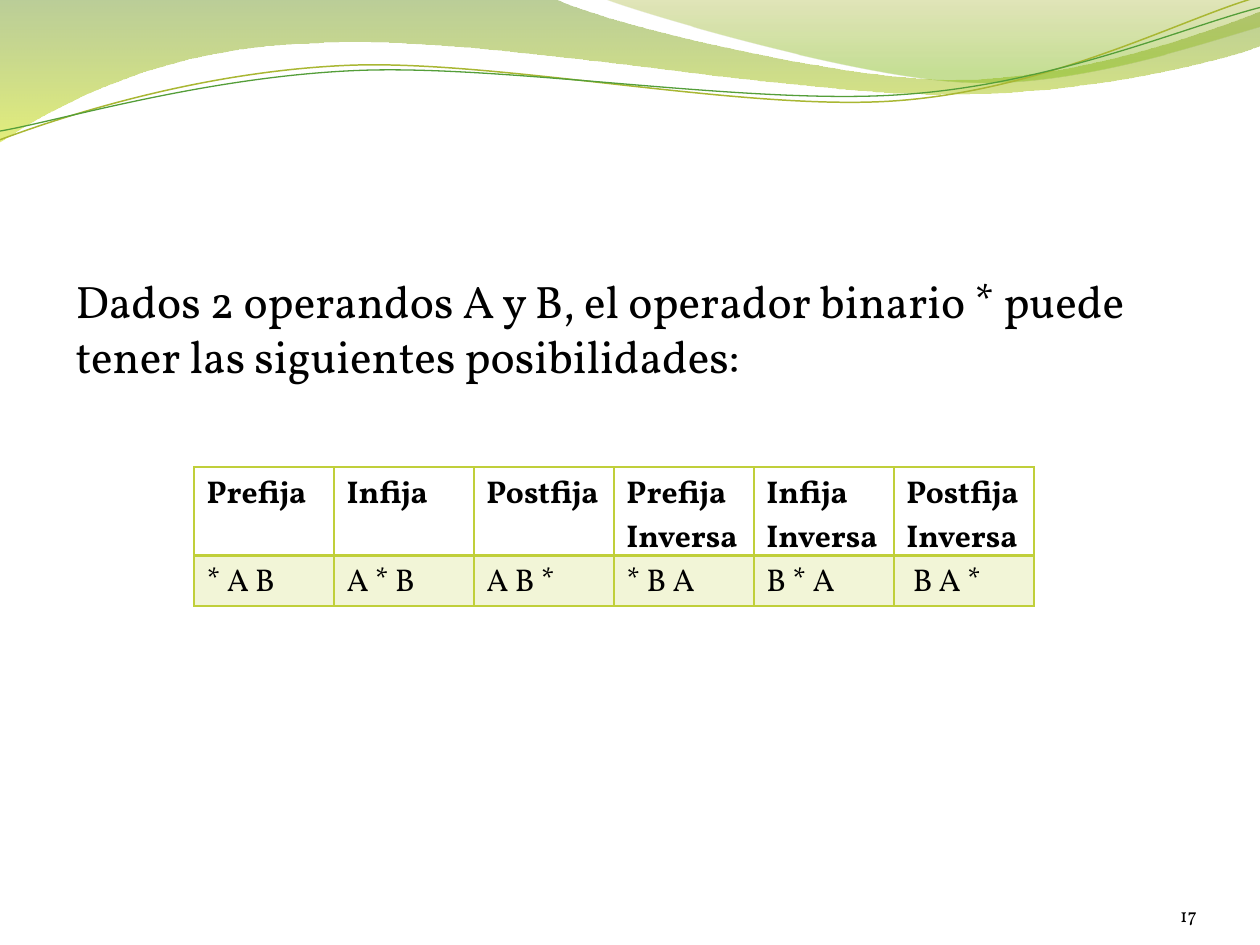
import math
from dataclasses import dataclass

from lxml import etree
from pptx import Presentation
from pptx.dml.color import RGBColor
from pptx.enum import text as t
from pptx.oxml import ns
from pptx.util import Pt


@dataclass
class Theme:
    font: str = "Vollkorn"
    ink: str = "000000"
    lime: str = "C0CF3A"
    olive: str = "A9B733"
    green: str = "549E39"
    body: float = 26
    cell: float = 18
    number: float = 11


theme = Theme()


def write(frame, text, size, bold=False, align=t.PP_ALIGN.LEFT, before=0):
    paragraph = frame.paragraphs[0]
    paragraph.alignment = align
    paragraph.space_before = Pt(before)
    run = paragraph.add_run()
    run.text = text
    run.font.name = theme.font
    run.font.size = Pt(size)
    run.font.bold = bold
    run.font.color.rgb = RGBColor.from_string(theme.ink)
    return paragraph


def set_opacity(parent, percents):
    for color, percent in zip(parent.iter(ns.qn("a:srgbClr")), percents):
        etree.SubElement(color, ns.qn("a:alpha"), val=str(percent * 1000))


prs = Presentation()
prs.slide_width, prs.slide_height = Pt(720), Pt(540)
slide = prs.slides.add_slide(prs.slide_layouts[1])
title = slide.shapes.title
title.element.getparent().remove(title.element)

# Header waves: a start point, then lines (2 numbers) and Bézier curves (6 numbers)
TILT = -2.7
waves = [
    dict(start=(0, 0), stops=[(0, "69921C", 45), (1, "CCE10F", 55)], steps=[
        (316.8, -0.7), (342, 12.2, 477.4, 45.4, 545.8, 45.4),
        (614.2, 45.4, 689.8, 18.7, 720, 6.5), (720.7, 25.9),
        (707.8, 31.7, 625.7, 54.7, 537.1, 54), (447.8, 54, 274.3, 20.2, 185, 24.5),
        (92.9, 25.9, 33.1, 59.8, -0.7, 81.4), (0, 0)]),
    dict(start=(344.9, -0.7), stops=[(0, "9BAA1A", 30), (0.8, "81BA16", 45)], steps=[
        (366.5, 7.9, 491, 44.6, 553, 46.8),
        (615.6, 49.7, 691.9, 23, 720, 15.1), (720, 0), (344.9, -0.7)]),
    dict(start=(0, 79.9), line=(theme.olive, 0.85), center=(359.3, 41.4), steps=[
        (34.6, 67, 113, 41, 198.7, 37.4), (284.4, 33.8, 426.2, 64.1, 512.6, 57.6),
        (599.8, 51.1, 675.4, 10.8, 717.8, -1.4)]),
    dict(start=(0, 74.9), line=(theme.green, 0.75), center=(359.6, 42.5), steps=[
        (33.8, 69.1, 117.4, 43.9, 203.8, 40.3), (289.4, 36.7, 429.8, 60.5, 516.2, 54),
        (601.9, 48.2, 677.5, 15.1, 720, 4.3)]),
]
for layer, wave in enumerate(waves):
    points = [wave["start"]]
    for step in wave["steps"]:
        points += zip(step[::2], step[1::2])
    if "center" in wave:
        # Level the points, since the shape itself carries the tilt
        cx, cy = wave["center"]
        cos, sin = math.cos(math.radians(-TILT)), math.sin(math.radians(-TILT))
        points = [(cx + (x - cx) * cos - (y - cy) * sin,
                   cy + (x - cx) * sin + (y - cy) * cos) for x, y in points]
    outline = [(Pt(x), Pt(y)) for x, y in points]
    builder = slide.shapes.build_freeform(*outline[0])
    builder.add_line_segments(outline[1:], close="stops" in wave)
    ribbon = builder.convert_to_shape()
    ribbon.shadow.inherit = False

    # Join each three points of a curve into one Bézier segment
    segments = iter(list(ribbon.element.iter(ns.qn("a:lnTo"))))
    for step in wave["steps"]:
        first = next(segments)
        if len(step) == 6:
            first.tag = ns.qn("a:cubicBezTo")
            for _ in range(2):
                control = next(segments)
                first.append(control[0])
                control.getparent().remove(control)

    if "stops" in wave:
        ribbon.line.fill.background()
        ribbon.fill.gradient()
        ribbon.fill.gradient_angle = 270
        for stop, (position, color, _) in zip(ribbon.fill.gradient_stops, wave["stops"]):
            stop.position = position
            stop.color.rgb = RGBColor.from_string(color)
        set_opacity(ribbon.element.spPr, [opacity for *_, opacity in wave["stops"]])
    else:
        color, width = wave["line"]
        ribbon.rotation = TILT
        ribbon.fill.background()
        ribbon.line.color.rgb = RGBColor.from_string(color)
        ribbon.line.width = Pt(width)
    ribbon.element.getparent().insert(2 + layer, ribbon.element)

# Statement
statement = slide.placeholders[1]
statement.left, statement.top, statement.width, statement.height = (
    Pt(36), Pt(152.6), Pt(648), Pt(345.6))
statement.text_frame.auto_size = t.MSO_AUTO_SIZE.NONE
paragraph = write(
    statement.text_frame,
    "Dados 2 operandos A y B, el operador binario * puede tener las siguientes posibilidades:",
    theme.body, before=5.2)
properties = paragraph._p.get_or_add_pPr()
properties.set("marL", "0")
properties.set("indent", "0")
etree.SubElement(properties, ns.qn("a:buNone"))

# Page number
page = slide.shapes.add_textbox(Pt(624), Pt(500.4), Pt(60), Pt(28.8)).text_frame
page.margin_left = page.margin_right = page.margin_top = page.margin_bottom = 0
page.word_wrap = True
page.vertical_anchor = t.MSO_ANCHOR.BOTTOM
write(page, "17", theme.number, align=t.PP_ALIGN.RIGHT)

# Notations
notations = [
    ["Prefija", "Infija", "Postfija", "Prefija Inversa", "Infija Inversa", "Postfija Inversa"],
    ["* A B", "A * B", "A B *", "* B A", "B * A", " B A *"],
]
grid = slide.shapes.add_table(2, 6, Pt(110.8), Pt(266.8), Pt(480), Pt(80))
table = grid.table
table.first_row = table.horz_banding = False
for row in table.rows:
    row.height = Pt(29.2)
grid.height = Pt(80)
for r, labels in enumerate(notations):
    header = r == 0
    for c, label in enumerate(labels):
        cell = table.cell(r, c)
        write(cell.text_frame, label, theme.cell, bold=header)
        cell_properties = cell._tc.get_or_add_tcPr()
        if header:
            cell.fill.background()
        else:
            cell.fill.solid()
            cell.fill.fore_color.rgb = RGBColor.from_string(theme.lime)
            set_opacity(cell_properties, [20])
        for i, side in enumerate(("lnL", "lnR", "lnT", "lnB")):
            shared_edge = side == ("lnB" if header else "lnT")
            border = etree.Element(ns.qn("a:" + side), w=str(Pt(2 if shared_edge else 1)))
            solid = etree.SubElement(border, ns.qn("a:solidFill"))
            etree.SubElement(solid, ns.qn("a:srgbClr"), val=theme.lime)
            cell_properties.insert(i, border)

prs.save("out.pptx")
